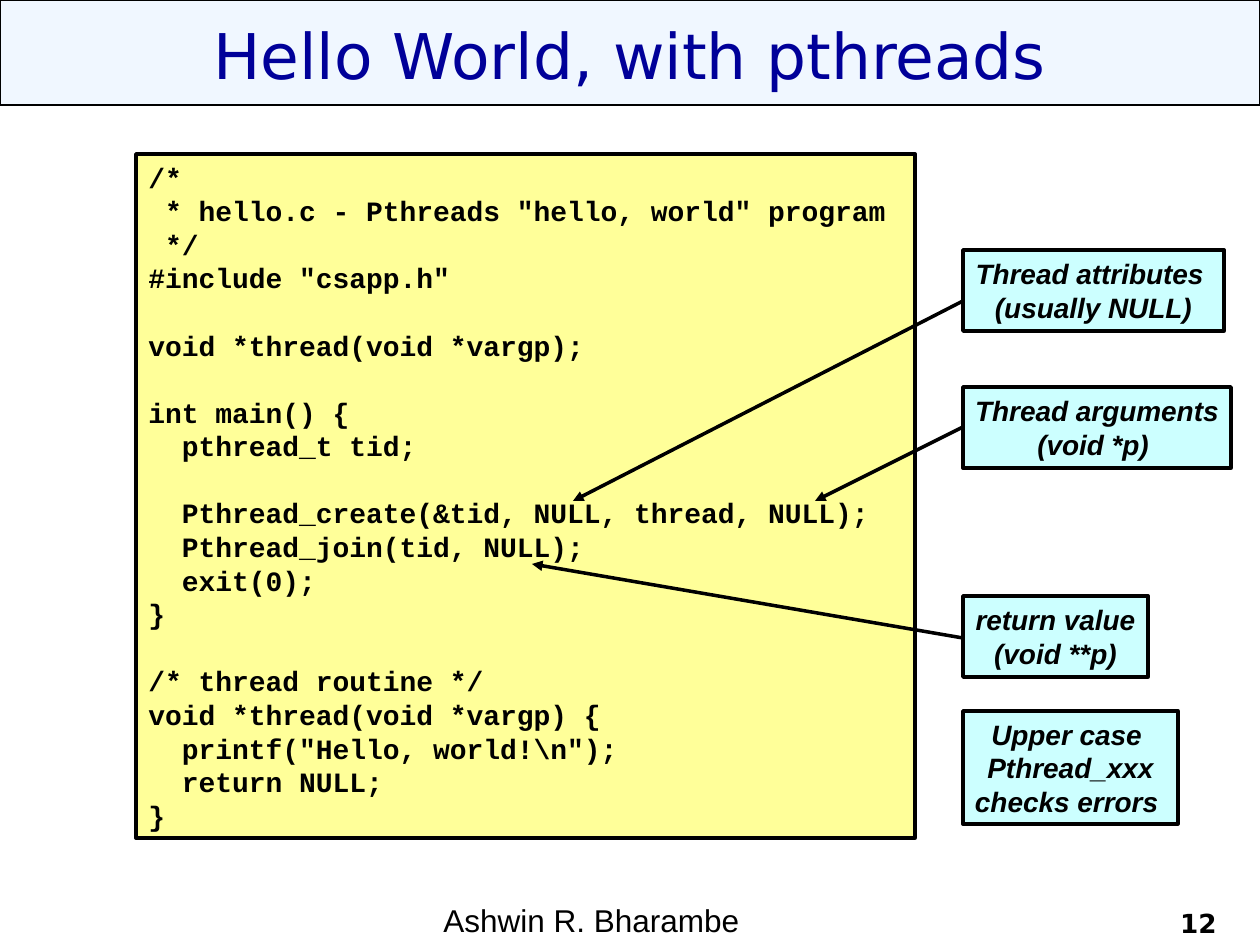
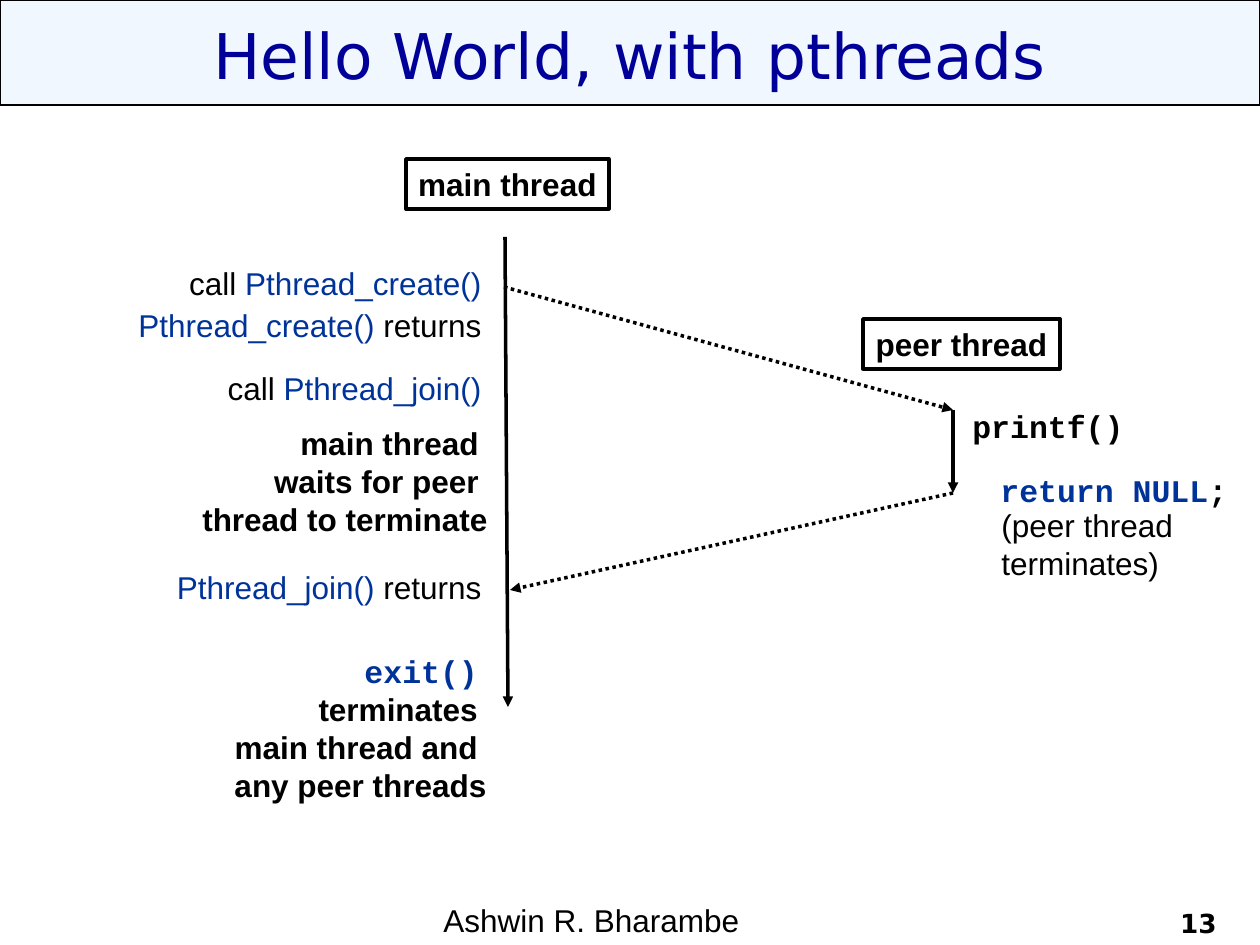
from lxml.etree import SubElement as add_sub
from pptx import Presentation
from pptx.dml.color import RGBColor as Rgb
from pptx.enum.dml import MSO_LINE as Dash
from pptx.enum.shapes import MSO_CONNECTOR as Link, MSO_SHAPE as Kind
from pptx.enum.text import MSO_ANCHOR as Anchor, MSO_AUTO_SIZE as Fit, PP_ALIGN as Align
from pptx.oxml.ns import qn
from pptx.util import Emu, Pt

SCALE = 914400 / 126
BLACK, NAVY, BLUE = "000000", "000099", "003399"
ICE, YELLOW, CYAN = "F0F7FF", "FFFF99", "CCFFFF"
SANS, MONO, HEAD = "Arial", "Courier New", "DejaVu Sans"
TITLE = "Hello World, with pthreads"

CODE = r'''/*
 * hello.c - Pthreads "hello, world" program
 */
#include "csapp.h"

void *thread(void *vargp);

int main() {
  pthread_t tid;

  Pthread_create(&tid, NULL, thread, NULL);
  Pthread_join(tid, NULL);
  exit(0);
}

/* thread routine */
void *thread(void *vargp) {
  printf("Hello, world!\n");
  return NULL;
}'''.split("\n")

NOTES = [
    (0, 261, 81, ["Thread attributes ", "(usually NULL)"]),
    (137, 268, 81, ["Thread arguments", "(void *p) "]),
    (346, 185, 81, ["return value", "(void **p)"]),
    (461, 215, 113, ["Upper case ", "Pthread_xxx", "checks errors "]),
]
POINTERS = [(51, -390, 251), (177, -148, 251), (388, -431, 314)]
CALLS = [
    (99, ["call ", ("Pthread_create()", BLUE)]),
    (141, [("Pthread_create()", BLUE), " returns"]),
    (204, ["call ", ("Pthread_join()", BLUE)]),
    (403, [("Pthread_join()", BLUE), " returns"]),
]


def px(size):
    """Turn px into EMU."""
    return Emu(round(size * SCALE))


def tint(code):
    """Turn a hex string into a colour."""
    return Rgb.from_string(code)


def write(shape, lines, size=18, font=SANS, color=BLACK, bold=False, italic=False,
          align=Align.LEFT, anchor=Anchor.TOP, wrap=True):
    """Fill a shape with lines; each is a string or a list of runs (text, colour, font)."""
    frame = shape.text_frame
    frame.auto_size, frame.word_wrap = Fit.NONE, wrap
    frame.vertical_anchor = anchor
    frame.margin_left = frame.margin_right = Pt(7.2)
    frame.margin_top = frame.margin_bottom = Pt(3.6)
    pitch, gap, para = Pt(1.2 * size), 0, None
    for line in lines:
        if not line:
            gap += pitch
            continue
        para = frame.add_paragraph() if para else frame.paragraphs[0]
        para.alignment, para.line_spacing = align, pitch
        para.space_before, para.space_after = Emu(gap), Pt(0)
        gap = 0
        for part in [line] if isinstance(line, str) else line:
            words, hue, face = ((part,) if isinstance(part, str) else part) + (None,) * (
                2 if isinstance(part, str) else 3 - len(part))
            run = para.add_run()
            run.text = words
            run.font.size, run.font.name = Pt(size), face or font
            run.font.bold, run.font.italic = bold, italic
            run.font.color.rgb = tint(hue or color)


def label(slide, box, lines, **form):
    """Add a text box."""
    write(slide.shapes.add_textbox(*map(px, box)), lines, **form)


def panel(slide, box, lines=(), fill=None, width=2, **form):
    """Add an outlined rectangle with text."""
    shape = slide.shapes.add_shape(Kind.RECTANGLE, *map(px, box))
    shape.shadow.inherit = False
    if fill:
        shape.fill.solid()
        shape.fill.fore_color.rgb = tint(fill)
    else:
        shape.fill.background()
    shape.line.color.rgb, shape.line.width = tint(BLACK), Pt(width)
    write(shape, lines, anchor=Anchor.MIDDLE, wrap=False, **form)
    return shape


def arrow(slide, origin, start, end, dotted=False):
    """Draw an arrow between two points given from an origin."""
    ends = [px(base + step) for point in (start, end) for base, step in zip(origin, point)]
    link = slide.shapes.add_connector(Link.STRAIGHT, *ends)
    link.line.color.rgb, link.line.width = tint(BLACK), Pt(2)
    if dotted:
        link.line.dash_style = Dash.ROUND_DOT
    props = link._element.spPr
    add_sub(props.find(qn("a:ln")), qn("a:tailEnd"), type="triangle")
    add_sub(props, qn("a:effectLst"))


def base(deck, number):
    """Add a slide with title band, author and number."""
    slide = deck.slides.add_slide(deck.slide_layouts[5])
    band = panel(slide, (0, 0, 1260, 105), fill=ICE, width=0.75)
    slide.shapes._spTree.insert(2, band._element)
    title = slide.shapes.title
    title.left, title.top, title.width, title.height = map(px, (63, 10, 1134, 95))
    write(title, [TITLE], size=36, font=HEAD, color=NAVY, align=Align.CENTER)
    label(slide, (431, 924, 399, 21), ["Ashwin R. Bharambe"], anchor=Anchor.BOTTOM)
    label(slide, (935, 913, 294, 32), [str(number)], size=15, font=HEAD, bold=True,
          align=Align.RIGHT, anchor=Anchor.BOTTOM)
    return slide


def notes(slide, x, y):
    """Place the callouts and their arrows into the code."""
    for drop, wide, high, lines in NOTES:
        panel(slide, (x, y + drop, wide, high), lines, fill=CYAN, size=16,
              bold=True, italic=True, align=Align.CENTER)
    for drop, *tip in POINTERS:
        arrow(slide, (x, y), (0, drop), tip)


def main_lane(slide, x, y):
    """Place the main thread, its time line and its steps."""
    panel(slide, (x + 280, y, 203, 50), ["main thread"], bold=True, align=Align.CENTER)
    arrow(slide, (x, y), (379, 78), (382, 548))
    for drop, line in CALLS:
        label(slide, (x, y + drop, 368, 50), [line], align=Align.RIGHT)
    form = dict(bold=True, align=Align.RIGHT, anchor=Anchor.MIDDLE)
    label(slide, (x, y + 259, 374, 126),
          ["main thread ", "waits for peer ", "thread to terminate"], **form)
    label(slide, (x, y + 487, 373, 164),
          [[("exit()", BLUE, MONO), " "], "terminates ", "main thread and ",
           "any peer threads"], **form)


def peer_lane(slide, x, y):
    """Place the peer thread, its steps and the links to the main thread."""
    panel(slide, (x, y, 197, 50), ["peer thread"], bold=True, align=Align.CENTER)
    born, done = (90, 91), (90, 174)
    arrow(slide, (x, y), (-359, -32), born, dotted=True)
    arrow(slide, (x, y), born, done)
    arrow(slide, (x, y), done, (-353, 271), dotted=True)
    form = dict(font=MONO, bold=True, anchor=Anchor.MIDDLE)
    label(slide, (x + 97, y + 82, 176, 50), ["printf()"], **form)
    label(slide, (x + 125, y + 146, 255, 50), [[("return NULL", BLUE), ";"]], **form)
    label(slide, (x + 126, y + 181, 197, 88), ["(peer thread", "terminates)"])


def main():
    """Build and save both slides."""
    deck = Presentation()
    deck.slide_width, deck.slide_height = px(1260), px(945)
    code = base(deck, 12)
    panel(code, (136, 154, 779, 684), CODE, fill=YELLOW, size=16, font=MONO, bold=True)
    notes(code, 963, 250)
    flow = base(deck, 13)
    main_lane(flow, 126, 159)
    peer_lane(flow, 863, 319)
    deck.save("out.pptx")


if __name__ == "__main__":
    main()
